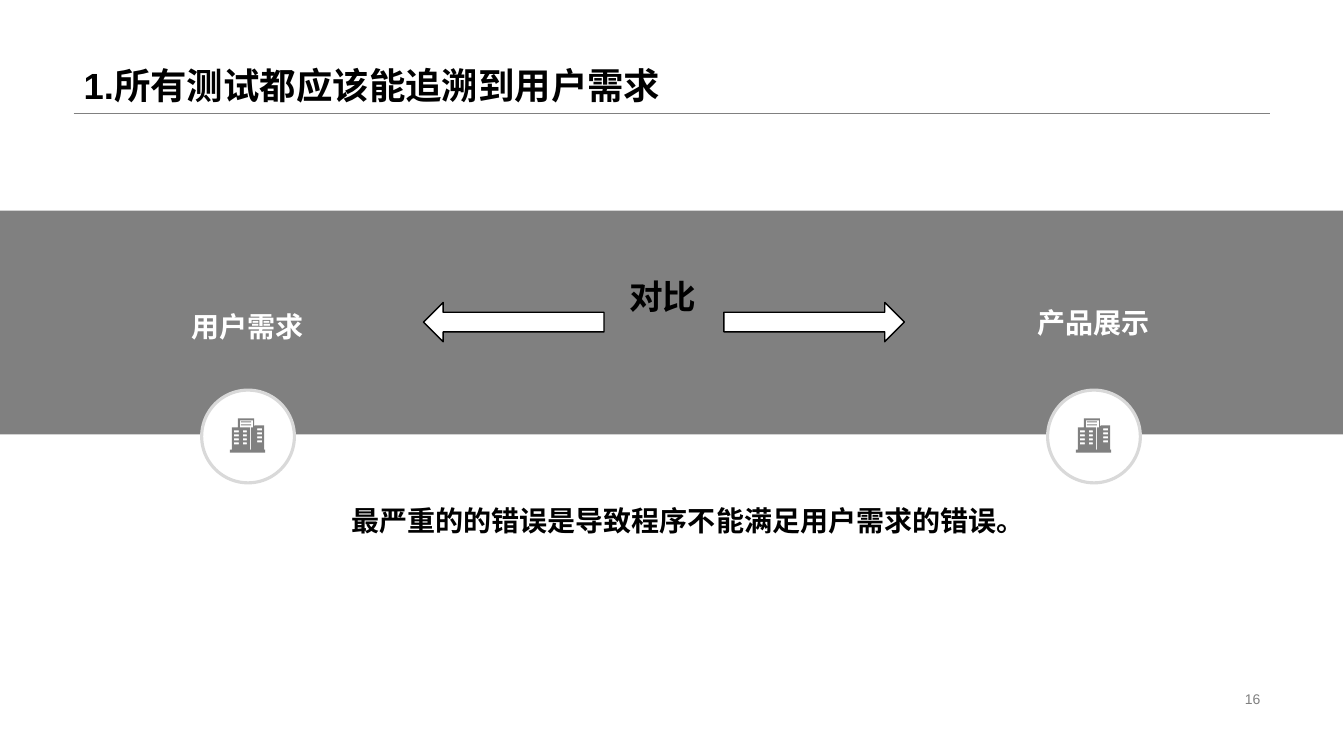
from dataclasses import dataclass

from lxml.etree import SubElement
from pptx import Presentation
from pptx.dml.color import RGBColor
from pptx.enum.shapes import MSO_CONNECTOR, MSO_SHAPE
from pptx.enum.text import MSO_ANCHOR, PP_ALIGN
from pptx.oxml.ns import qn
from pptx.util import Inches, Pt


@dataclass(frozen=True)
class Theme:
    font: str = "Arial"
    black: str = "000000"
    white: str = "FFFFFF"
    gray: str = "808080"
    ring: str = "D9D9D9"
    title: int = 26
    large: int = 24
    body: int = 20
    small: int = 10


THEME = Theme()


def color(code):
    return RGBColor.from_string(code)


def place(shape, left, top, width, height):
    shape.left, shape.top = Inches(left), Inches(top)
    shape.width, shape.height = Inches(width), Inches(height)


def write(shape, text, size=THEME.body, ink=THEME.black, bold=True,
          align=PP_ALIGN.CENTER, anchor=MSO_ANCHOR.BOTTOM, wrap=False,
          spacing=None):
    frame = shape.text_frame
    frame.word_wrap = wrap
    frame.vertical_anchor = anchor
    frame.text = text
    para = frame.paragraphs[0]
    para.alignment = align
    para.line_spacing = spacing
    font = para.font
    font.name, font.size, font.bold = THEME.font, Pt(size), bold
    font.color.rgb = color(ink)


def add_label(slide, text, box, **style):
    write(slide.shapes.add_textbox(*map(Inches, box)), text, **style)


def paint(shape, fill, line=None, width=1):
    shape.shadow.inherit = False
    shape.fill.solid()
    shape.fill.fore_color.rgb = color(fill)
    if line:
        shape.line.color.rgb = color(line)
        shape.line.width = Pt(width)
    else:
        shape.line.fill.background()


def add_block(shapes, kind, box, fill, line=None, width=1):
    shape = shapes.add_shape(kind, *map(Inches, box))
    paint(shape, fill, line, width)
    return shape


def add_rule(slide, left, right, top):
    rule = slide.shapes.add_connector(
        MSO_CONNECTOR.STRAIGHT, Inches(left), Inches(top),
        Inches(right), Inches(top))
    rule.line.color.rgb = color(THEME.gray)
    rule.line.width = Pt(0.25)
    SubElement(rule._element.spPr, qn("a:effectLst"))


def pane(left, top, width, height):
    right, low = left + width, top + height
    return [(left, top), (left, low), (right, low), (right, top)]


def office_loops():
    """Outline, sign edge and windows, in hundredths of an inch."""
    outline = [(8, 0), (24, 0), (24, 8), (25, 7), (34, 7), (34, 31),
               (35, 31), (35, 34), (0, 34), (0, 31), (2, 31), (2, 9), (8, 9)]
    sign = [(10, 2), (10, 9), (20, 9), (20, 31), (21, 31), (21, 9),
            (23, 9), (23, 2)]
    stripes = [pane(11, top, 10, 1) for top in (3, 6)]
    windows = [pane(left, top + 4 * row, width, 2)
               for left, top, width in ((4, 12, 5), (13, 12, 4), (27, 10, 5))
               for row in range(4)]
    return [outline, sign, *stripes, *windows]


def add_badge(slide, left, top):
    shapes = slide.shapes.add_group_shape().shapes
    add_block(shapes, MSO_SHAPE.OVAL, (left, top, 0.92, 0.92),
              THEME.white, THEME.ring, 2.25)
    first, *rest = office_loops()
    form = shapes.build_freeform(*first[0], scale=Inches(0.01))
    form.add_line_segments(first[1:])
    for loop in rest:
        form.move_to(*loop[0])
        form.add_line_segments(loop[1:])
    icon = form.convert_to_shape(Inches(left + 0.28), Inches(top + 0.28))
    paint(icon, THEME.gray)


def add_arrow(slide, left, turn):
    arrow = add_block(slide.shapes, MSO_SHAPE.RIGHT_ARROW,
                      (left, 3, 1.79, 0.39), THEME.white, THEME.black)
    arrow.rotation = turn


def main():
    deck = Presentation()
    deck.slide_width, deck.slide_height = Inches(13.33), Inches(7.5)
    slide = deck.slides.add_slide(deck.slide_layouts[5])

    add_rule(slide, 0.73, 12.6, 1.12)
    title = slide.shapes.title
    place(title, 0.73, 0, 11.87, 1.12)
    write(title, "1.所有测试都应该能追溯到用户需求", size=THEME.title,
          align=PP_ALIGN.LEFT, wrap=True, spacing=0.9)
    add_label(slide, "16", (9.42, 6.82, 3.18, 0.23), size=THEME.small,
              ink=THEME.gray, bold=False, align=PP_ALIGN.RIGHT,
              anchor=MSO_ANCHOR.MIDDLE, wrap=True)

    add_block(slide.shapes, MSO_SHAPE.RECTANGLE, (-0.01, 2.09, 13.33, 2.22),
              THEME.gray)
    for text, left, top, badge in (("用户需求", 0.72, 2.94, 2),
                                   ("产品展示", 9.11, 2.9, 10.39)):
        add_badge(slide, badge, 3.87)
        add_label(slide, text, (left, top, 3.47, 0.51), ink=THEME.white)
    add_label(slide, "最严重的的错误是导致程序不能满足用户需求的错误。",
              (3.06, 4.87, 7.53, 0.51))

    add_arrow(slide, 7.18, 0)
    add_arrow(slide, 4.2, 180)
    add_label(slide, "对比", (6.14, 2.69, 0.88, 0.5), size=THEME.large,
              align=PP_ALIGN.LEFT, anchor=MSO_ANCHOR.TOP)
    deck.save("out.pptx")


if __name__ == "__main__":
    main()
